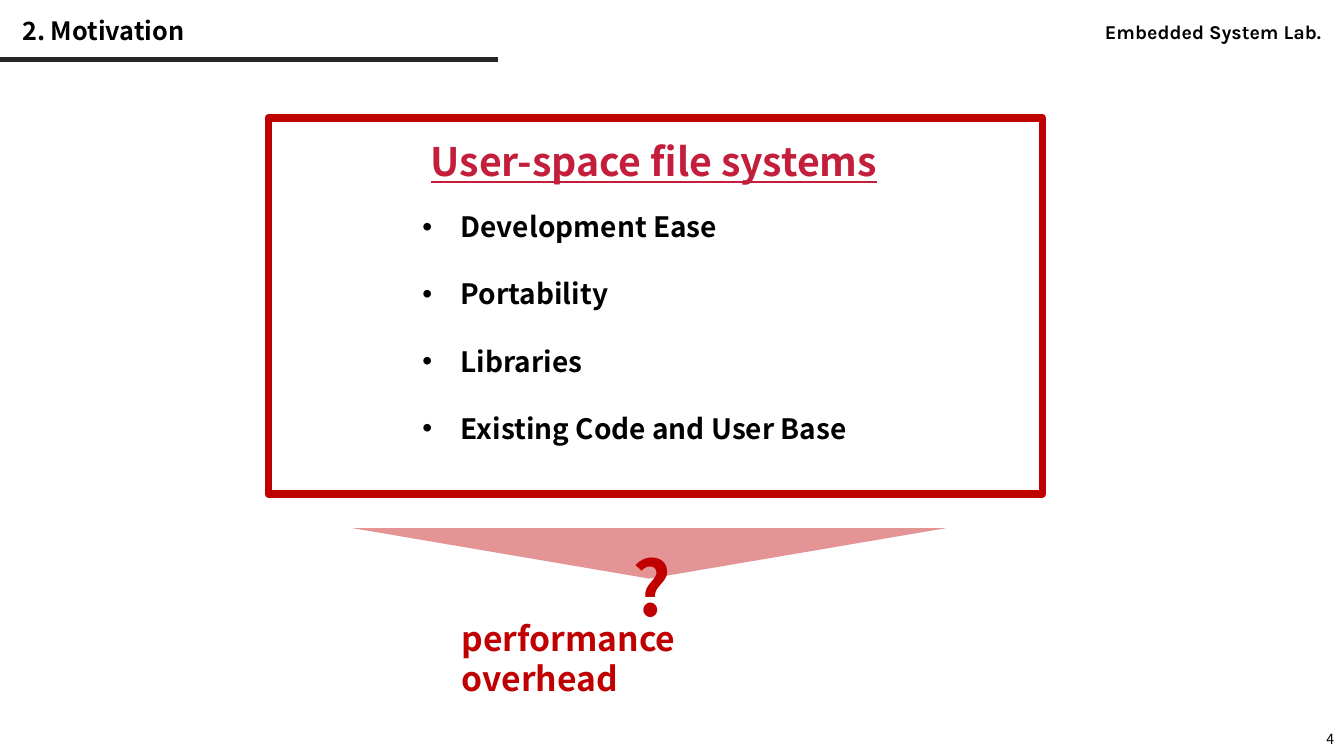
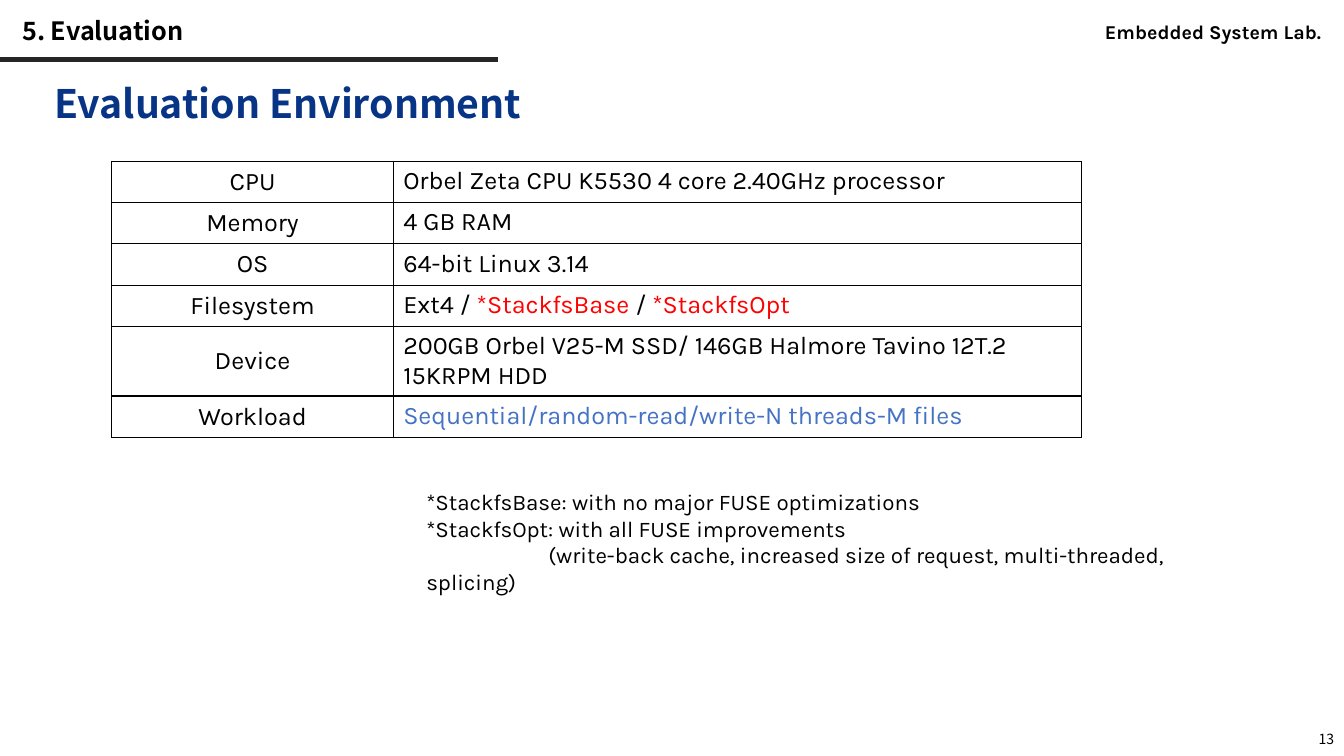
import pptx
import pptx.util
import pptx.dml.color
import pptx.enum.shapes
import pptx.enum.text
import pptx.oxml
import pptx.oxml.ns
import lxml.etree

Inches = pptx.util.Inches
Pt = pptx.util.Pt
ALIGN = pptx.enum.text.PP_ALIGN
ANCHOR = pptx.enum.text.MSO_ANCHOR
SHAPE = pptx.enum.shapes.MSO_SHAPE
qn = pptx.oxml.ns.qn

HEAD = "Noto Sans CJK KR"
BODY = "Karla"
COLORS = {
    "ink": "000000",
    "rule": "262626",
    "red": "C00000",
    "rose": "C31E3C",
    "navy": "083486",
    "mark": "FF0000",
    "blue": "4472C4",
}


def rgb(name):
    return pptx.dml.color.RGBColor.from_string(COLORS[name])


def sub(node, tag, **attrs):
    return lxml.etree.SubElement(node, qn(tag), attrs)


class Deck:
    """Holds the shared style and the slide being built."""

    def __init__(self):
        self.prs = pptx.Presentation()
        self.prs.slide_width = Inches(13.33)
        self.prs.slide_height = Inches(7.5)
        self.slide = None

    def start(self, title, number, layout):
        """Add a slide with its title, header rule, lab name and number."""
        self.slide = self.prs.slides.add_slide(self.prs.slide_layouts[layout])
        self.rule(0, 0.59, 4.94)
        self.text("Embedded System Lab.", (10.86, 0.15, 2.49, 0.34),
                  14, font=BODY, bold=True)
        name = self.place(self.slide.shapes.title, (0.12, 0.12, 9.71, 0.4))
        name.vertical_anchor = ANCHOR.MIDDLE
        self.fill(name.paragraphs[0], title, 18, bold=True)
        name.paragraphs[0].line_spacing = 0.9
        self.text(str(number), (10.33, 7.17, 3, 0.32), 10,
                  align=ALIGN.RIGHT, anchor=ANCHOR.MIDDLE)

    def place(self, shape, at):
        """Move a text holder and return its frame."""
        shape.left, shape.top, shape.width, shape.height = map(Inches, at)
        frame = shape.text_frame
        frame.word_wrap = True
        frame.auto_size = pptx.enum.text.MSO_AUTO_SIZE.NONE
        return frame

    def fill(self, para, runs, size, color="ink", font=HEAD, bold=False,
             align=ALIGN.LEFT):
        """Fill a paragraph with a string or a list of (text, colour) runs."""
        if isinstance(runs, str):
            para.add_run().text = runs
        else:
            for words, tint in runs:
                run = para.add_run()
                run.text = words
                run.font.color.rgb = rgb(tint)
        para.alignment = align
        para.font.name = font
        para.font.size = Pt(size)
        para.font.bold = bold
        para.font.color.rgb = rgb(color)

    def text(self, lines, at, size, anchor=ANCHOR.TOP, **style):
        """Add a text box, one paragraph a line."""
        box = self.slide.shapes.add_textbox(0, 0, 0, 0)
        frame = self.place(box, at)
        frame.vertical_anchor = anchor
        lines = [lines] if isinstance(lines, str) else lines
        for i, line in enumerate(lines):
            para = frame.add_paragraph() if i else frame.paragraphs[0]
            self.fill(para, line, size, **style)
        return frame

    def bullets(self, items, at, size, gap):
        """Fill the body placeholder with a bullet list."""
        frame = self.place(self.slide.placeholders[1], at)
        for i, item in enumerate(items):
            para = frame.add_paragraph() if i else frame.paragraphs[0]
            props = para._p.get_or_add_pPr()
            props.set("marL", str(Inches(0.88)))
            props.set("indent", str(Inches(-0.38)))
            sub(props, "a:buFont", typeface="Arial")
            sub(props, "a:buChar", char="•")
            para.line_spacing = 1.0
            para.space_before = Pt(gap if i else 0)
            self.fill(para, item, size, bold=True)

    def rule(self, left, top, width):
        """Draw a level line."""
        line = self.slide.shapes.add_connector(
            pptx.enum.shapes.MSO_CONNECTOR.STRAIGHT, Inches(left),
            Inches(top), Inches(left + width), Inches(top))
        line.line.color.rgb = rgb("rule")
        line.line.width = Pt(3)
        sub(line._element.spPr, "a:effectLst")

    def shape(self, kind, at, fill=None, line=None, width=1):
        """Add a preset shape."""
        item = self.slide.shapes.add_shape(kind, *map(Inches, at))
        item.shadow.inherit = False
        if fill:
            item.fill.solid()
            item.fill.fore_color.rgb = rgb(fill)
        else:
            item.fill.background()
        if line:
            item.line.color.rgb = rgb(line)
            item.line.width = Pt(width)
        else:
            item.line.fill.background()
        return item

    def fade(self, shape, percent):
        """Make a solid fill partly clear."""
        tint = shape._element.spPr.find(qn("a:solidFill"))[0]
        sub(tint, "a:alpha", val=str(percent * 1000))

    def border(self, cell):
        """Give a cell thin lines on all four sides."""
        props = cell._tc.get_or_add_tcPr()
        for i, side in enumerate("LRTB"):
            line = pptx.oxml.parse_xml(
                f'<a:ln{side} {pptx.oxml.ns.nsdecls("a")} w="{Pt(1)}">'
                f'<a:solidFill><a:srgbClr val="{COLORS["ink"]}"/>'
                f'</a:solidFill></a:ln{side}>')
            props.insert(i, line)

    def table(self, rows, at, cols, highs, size):
        """Add a plain ruled table of labels and values."""
        grid = self.slide.shapes.add_table(
            len(rows), len(cols), *map(Inches, at)).table
        grid.first_row = grid.horz_banding = False
        for col, width in zip(grid.columns, cols):
            col.width = Inches(width)
        for r, row in enumerate(rows):
            grid.rows[r].height = Inches(highs[r])
            for c, value in enumerate(row):
                cell = grid.cell(r, c)
                cell.fill.background()
                self.border(cell)
                cell.vertical_anchor = ANCHOR.TOP if c else ANCHOR.MIDDLE
                self.fill(cell.text_frame.paragraphs[0], value, size,
                          font=BODY, align=ALIGN.LEFT if c else ALIGN.CENTER)


def main():
    deck = Deck()

    # Motivation: framed list, wedge and question
    deck.start("2. Motivation", 4, 1)
    deck.bullets(["Development Ease", "Portability", "Libraries",
                  "Existing Code and User Base"],
                 (3.59, 2.03, 6.16, 2.46), 20, 24)
    head = deck.text("User-space file systems", (3.59, 1.31, 5.79, 0.57), 28,
                     color="rose", bold=True, align=ALIGN.CENTER)
    head.paragraphs[0].font.underline = True
    deck.shape(SHAPE.RECTANGLE, (2.66, 1.17, 7.68, 3.73),
               line="red", width=5.25)
    wedge = deck.shape(SHAPE.ISOSCELES_TRIANGLE, (3.5, 5.24, 5.88, 0.5),
                       fill="red")
    wedge.rotation = 180
    wedge.adjustments[0] = 0.5
    deck.fade(wedge, 42)
    deck.text("performance overhead", (4.48, 6.08, 3.91, 0.5), 24,
              color="red", bold=True)
    deck.text("?", (6.17, 5.32, 0.72, 1.01), 54, color="red", bold=True)

    # Evaluation: test setup and notes on the file systems
    deck.start("5. Evaluation", 13, 5)
    deck.text("Evaluation Environment", (0.44, 0.74, 12.45, 0.98), 28,
              color="navy", bold=True)
    rows = [
        ("CPU", "Orbel Zeta CPU K5530 4 core 2.40GHz processor"),
        ("Memory", "4 GB RAM"),
        ("OS", "64-bit Linux 3.14"),
        ("Filesystem", [("Ext4 / ", "ink"), ("*StackfsBase ", "mark"),
                        ("/", "ink"), (" *StackfsOpt", "mark")]),
        ("Device", "200GB Orbel V25-M SSD/ 146GB Halmore Tavino 12T.2 "
                   "15KRPM HDD"),
        ("Workload", [("Sequential/random-read/write-N threads-M files",
                       "blue")]),
    ]
    highs = [0.41] * 4 + [0.69, 0.41]
    deck.table(rows, (1.11, 1.6, 9.62, sum(highs)), (2.79, 6.83), highs, 18)
    notes = deck.text(
        ["*StackfsBase: with no major FUSE optimizations",
         "*StackfsOpt: with all FUSE improvements",
         "(write-back cache, increased size of request, multi-threaded, "
         "splicing)"],
        (4.13, 4.79, 8.27, 1.2), 16, font=BODY)
    notes.paragraphs[2]._p.get_or_add_pPr().set("indent", str(Inches(1.21)))

    deck.prs.save("out.pptx")


if __name__ == "__main__":
    main()
